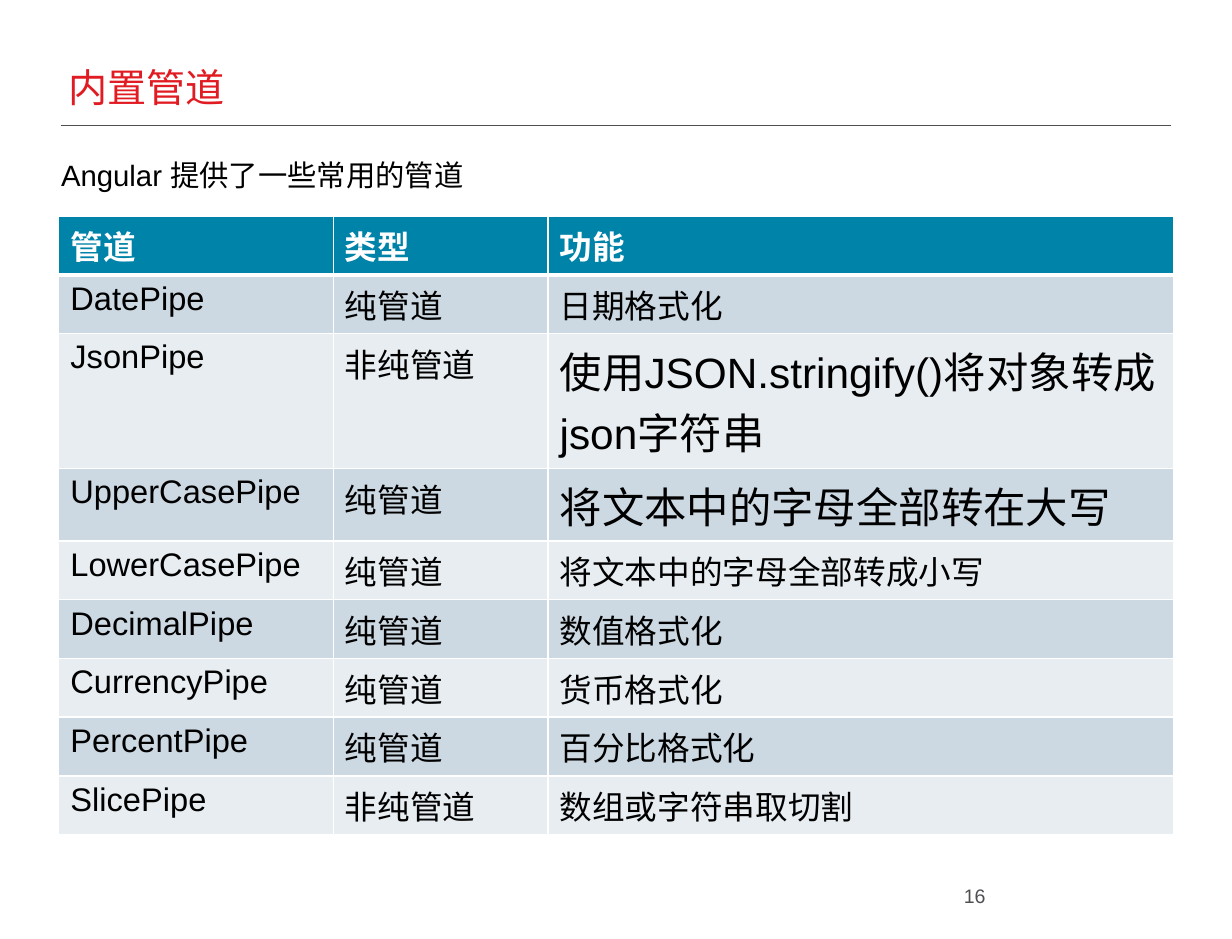
import pptx
import pptx.dml.color
import pptx.enum.shapes
import pptx.enum.text
import pptx.oxml.ns
import pptx.util
from lxml import etree
from pptx.dml.color import RGBColor
from pptx.util import Inches

RED = RGBColor(0xE1, 0x1B, 0x22)
GRAY = RGBColor(0x4D, 0x4F, 0x53)
BLACK = RGBColor(0x00, 0x00, 0x00)
WHITE = RGBColor(0xFF, 0xFF, 0xFF)
TEAL = RGBColor(0x00, 0x83, 0xA9)
BAND_DARK = RGBColor(0xCC, 0xD9, 0xE2)
BAND_LIGHT = RGBColor(0xE7, 0xED, 0xF1)

FONT = "Arial"
COLUMN_WIDTHS = (2.34, 1.83, 5.33)
ROW_HEIGHT = 0.5
LARGE_TEXT_ROW_HEIGHTS = {2: 1.15, 3: 0.62}
PIPES = [
    ("管道", "类型", "功能"),
    ("DatePipe", "纯管道", "日期格式化"),
    ("JsonPipe", "非纯管道", "使用JSON.stringify()将对象转成json字符串"),
    ("UpperCasePipe", "纯管道", "将文本中的字母全部转在大写"),
    ("LowerCasePipe", "纯管道", "将文本中的字母全部转成小写"),
    ("DecimalPipe", "纯管道", "数值格式化"),
    ("CurrencyPipe", "纯管道", "货币格式化"),
    ("PercentPipe", "纯管道", "百分比格式化"),
    ("SlicePipe", "非纯管道", "数组或字符串取切割"),
]


def write_text(text_frame, text, size=20, color=BLACK, bold=False, align=None):
    paragraph = text_frame.paragraphs[0]
    paragraph.alignment = align
    run = paragraph.add_run()
    run.text = text
    run.font.name = FONT
    run.font.size = pptx.util.Pt(size)
    run.font.bold = bold
    run.font.color.rgb = color


def add_text_box(slide, left, top, width, height, text, anchor, wrap=True, **text_format):
    shape = slide.shapes.add_textbox(Inches(left), Inches(top), Inches(width), Inches(height))
    text_frame = shape.text_frame
    text_frame.word_wrap = wrap
    text_frame.vertical_anchor = anchor
    text_frame.margin_left = text_frame.margin_right = 0
    text_frame.margin_top = text_frame.margin_bottom = 0
    write_text(text_frame, text, **text_format)


def add_title_rule(slide):
    connector = slide.shapes.add_connector(
        pptx.enum.shapes.MSO_CONNECTOR.STRAIGHT,
        Inches(0.52), Inches(1.07), Inches(9.98), Inches(1.07),
    )
    connector.line.color.rgb = GRAY
    connector.line.width = pptx.util.Pt(0.75)
    etree.SubElement(connector._element.spPr, pptx.oxml.ns.qn("a:effectLst"))


def set_cell_borders(cell, **widths):
    properties = cell._tc.get_or_add_tcPr()
    for side in "LRTB":
        line = etree.SubElement(properties, pptx.oxml.ns.qn(f"a:ln{side}"))
        line.set("w", str(pptx.util.Pt(widths.get(side, 1))))
        fill = etree.SubElement(line, pptx.oxml.ns.qn("a:solidFill"))
        etree.SubElement(fill, pptx.oxml.ns.qn("a:srgbClr")).set("val", str(WHITE))


def fill_cell(cell, text, row_index, column_index):
    is_header = row_index == 0
    if is_header:
        set_cell_borders(cell, B=3)
        color = TEAL
    else:
        set_cell_borders(cell, T=3 if row_index == 1 else 1)
        color = BAND_DARK if row_index % 2 else BAND_LIGHT
    cell.fill.solid()
    cell.fill.fore_color.rgb = color
    is_large = column_index == 2 and row_index in LARGE_TEXT_ROW_HEIGHTS
    write_text(
        cell.text_frame, text, size=26 if is_large else 20,
        color=WHITE if is_header else BLACK, bold=is_header,
    )


def add_pipe_table(slide):
    heights = [LARGE_TEXT_ROW_HEIGHTS.get(index, ROW_HEIGHT) for index in range(len(PIPES))]
    table = slide.shapes.add_table(
        len(PIPES), len(COLUMN_WIDTHS),
        Inches(0.5), Inches(1.84), Inches(sum(COLUMN_WIDTHS)), Inches(sum(heights)),
    ).table
    for column, width in zip(table.columns, COLUMN_WIDTHS):
        column.width = Inches(width)
    for row_index, texts in enumerate(PIPES):
        table.rows[row_index].height = Inches(heights[row_index])
        for column_index, text in enumerate(texts):
            fill_cell(table.cell(row_index, column_index), text, row_index, column_index)


def main():
    presentation = pptx.Presentation()
    presentation.slide_width = Inches(10.5)
    presentation.slide_height = Inches(8)
    slide = presentation.slides.add_slide(presentation.slide_layouts[6])
    anchors = pptx.enum.text.MSO_ANCHOR

    add_title_rule(slide)
    add_text_box(slide, 0.58, 0.33, 9.45, 0.61, "内置管道", anchors.BOTTOM, size=24, color=RED)
    add_text_box(slide, 0.52, 1.34, 9.45, 0.4, "Angular 提供了一些常用的管道", anchors.TOP, size=18)
    add_text_box(
        slide, 8.06, 7.38, 0.34, 0.35, "16", anchors.BOTTOM, wrap=False,
        size=12, color=GRAY, align=pptx.enum.text.PP_ALIGN.RIGHT,
    )
    add_pipe_table(slide)
    presentation.save("out.pptx")


if __name__ == "__main__":
    main()
